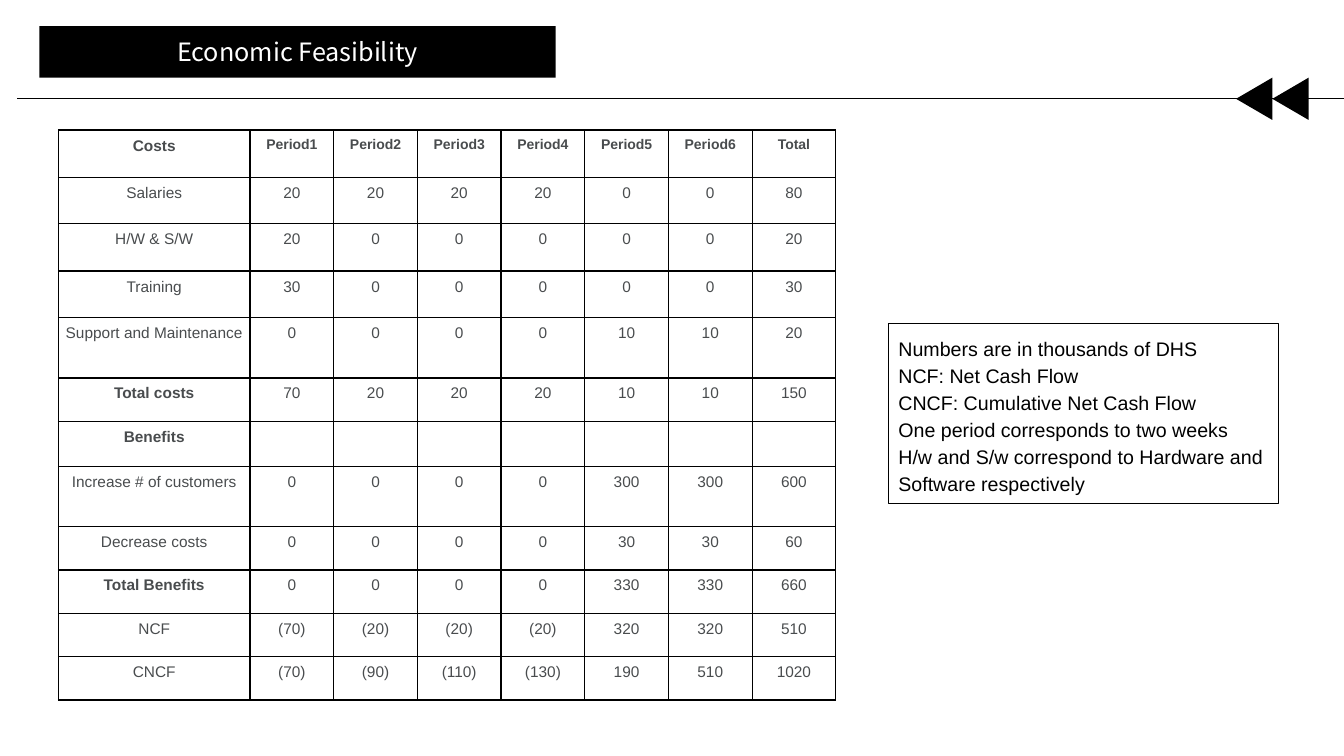
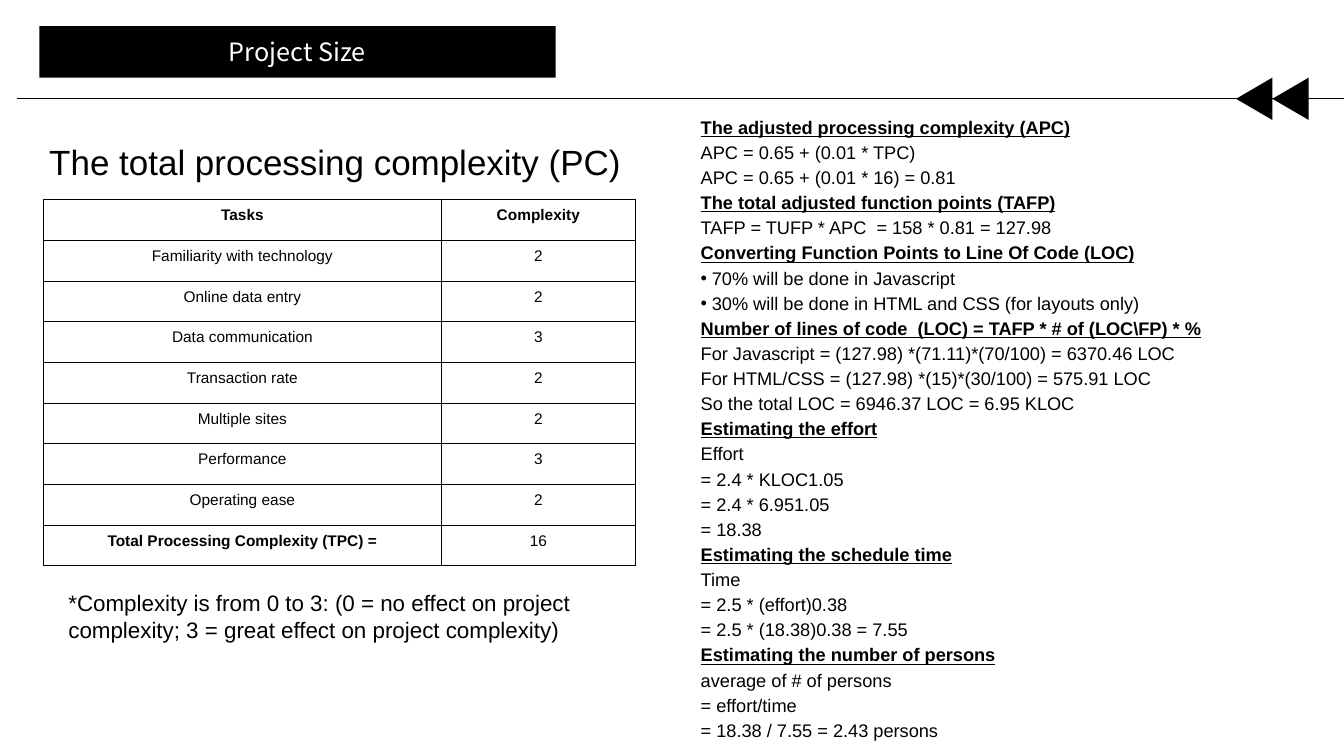
from lxml.etree import SubElement
from pptx import Presentation
from pptx.dml.color import RGBColor
from pptx.enum.shapes import MSO_CONNECTOR as CONNECTOR, MSO_SHAPE as SHAPE
from pptx.enum.text import MSO_ANCHOR as ANCHOR, MSO_AUTO_SIZE as AUTO_SIZE, PP_ALIGN as ALIGN
from pptx.oxml.ns import qn
from pptx.util import Pt

PX = 9144  # 100 px to the inch
COLORS = {name: RGBColor.from_string(value) for name, value in
          {"ink": "000000", "paper": "FFFFFF", "gray": "494C4E"}.items()}
TITLE_FONT, BODY_FONT = "Noto Sans CJK SC", "Arial"
CELL_MARGIN, BULLET_INDENT = 7, 11


def write_text(frame, text, *, size, color="ink", font=BODY_FONT, bold=False,
               underline=False, align=ALIGN.LEFT, spacing=1.0, bullet=False):
    """Fill the empty first paragraph, or append a new one."""
    paragraph = frame.paragraphs[0]
    if paragraph.runs:
        paragraph = frame.add_paragraph()
    paragraph.alignment = align
    paragraph.line_spacing = spacing
    paragraph.space_before = paragraph.space_after = Pt(0)
    run = paragraph.add_run()
    run.text = text
    run.font.name, run.font.size = font, Pt(size)
    run.font.bold, run.font.underline = bold, underline
    run.font.color.rgb = COLORS[color]
    properties = paragraph._p.get_or_add_pPr()
    indent = BULLET_INDENT * PX if bullet else 0
    properties.set("marL", str(indent))
    properties.set("indent", str(-indent))
    if bullet:
        SubElement(properties, qn("a:buFont"), typeface=BODY_FONT)
        SubElement(properties, qn("a:buChar"), char="•")
    else:
        SubElement(properties, qn("a:buNone"))


def place(shape, left, top, width, height, anchor=ANCHOR.TOP, inset=10):
    """Set the position and text frame of a shape, and return the frame."""
    shape.left, shape.top = left * PX, top * PX
    shape.width, shape.height = width * PX, height * PX
    frame = shape.text_frame
    frame.word_wrap, frame.auto_size = True, AUTO_SIZE.NONE
    frame.vertical_anchor = anchor
    frame.margin_left = frame.margin_right = 10 * PX
    frame.margin_top = frame.margin_bottom = inset * PX
    return frame


presentation = Presentation()
presentation.slide_width, presentation.slide_height = 1333 * PX, 750 * PX
layout = presentation.slide_layouts.get_by_name("Title and Content")

# Shared header: title band, rule and two arrows
slides = []
for title in ("Economic Feasibility", "Project Size"):
    slide = presentation.slides.add_slide(layout)
    slides.append(slide)
    band = slide.shapes.title
    band.fill.solid()
    band.fill.fore_color.rgb = COLORS["ink"]
    frame = place(band, 39, 26, 512, 51, ANCHOR.MIDDLE, inset=5)
    write_text(frame, title, size=18, color="paper", font=TITLE_FONT, align=ALIGN.CENTER)

    rule = slide.shapes.add_connector(CONNECTOR.STRAIGHT, 17 * PX, 98 * PX, 1333 * PX, 98 * PX)
    rule.line.color.rgb, rule.line.width = COLORS["ink"], Pt(0.75)
    SubElement(rule._element.spPr, qn("a:effectLst"))

    for left in (1259, 1223):
        arrow = slide.shapes.add_shape(SHAPE.ISOSCELES_TRIANGLE,
                                       left * PX, 80 * PX, 42 * PX, 36 * PX)
        arrow.rotation = 270
        arrow.shadow.inherit = False
        arrow.fill.solid()
        arrow.fill.fore_color.rgb = COLORS["ink"]
        arrow.line.fill.background()

feasibility_slide, size_slide = slides

# Tables
cash_flow_rows = [
    ["Costs"] + [f"Period{number}" for number in range(1, 7)] + ["Total"],
    ["Salaries", "20", "20", "20", "20", "0", "0", "80"],
    ["H/W & S/W", "20", "0", "0", "0", "0", "0", "20"],
    ["Training", "30", "0", "0", "0", "0", "0", "30"],
    ["Support and Maintenance", "0", "0", "0", "0", "10", "10", "20"],
    ["Total costs", "70", "20", "20", "20", "10", "10", "150"],
    ["Benefits"] + [""] * 7,
    ["Increase # of customers", "0", "0", "0", "0", "300", "300", "600"],
    ["Decrease costs", "0", "0", "0", "0", "30", "30", "60"],
    ["Total Benefits", "0", "0", "0", "0", "330", "330", "660"],
    ["NCF", "(70)", "(20)", "(20)", "(20)", "320", "320", "510"],
    ["CNCF", "(70)", "(90)", "(110)", "(130)", "190", "510", "1020"],
]
complexity_rows = [
    ["Tasks", "Complexity"],
    ["Familiarity with technology", "2"],
    ["Online data entry", "2"],
    ["Data communication", "3"],
    ["Transaction rate", "2"],
    ["Multiple sites", "2"],
    ["Performance", "3"],
    ["Operating ease", "2"],
    ["Total Processing Complexity (TPC) =", "16"],
]
bold_labels = {"Total costs", "Benefits", "Total Benefits", "Total Processing Complexity (TPC) ="}
cash_flow_heights = [47, 46] * 2 + [60, 43, 43, 60] + [43] * 4
tables = [
    (feasibility_slide, 58, 129, [190] + [83] * 7, cash_flow_heights, cash_flow_rows, "gray", 10),
    (size_slide, 43, 198, [395, 192], [41, 40, 40] * 3, complexity_rows, "ink", 11),
]
for slide, left, top, widths, heights, rows, color, header_size in tables:
    table = slide.shapes.add_table(len(rows), len(widths), left * PX, top * PX,
                                   sum(widths) * PX, sum(heights) * PX).table
    table.first_row = table.horz_banding = False
    for column, width in zip(table.columns, widths):
        column.width = width * PX
    for row_index, (height, texts) in enumerate(zip(heights, rows)):
        table.rows[row_index].height = height * PX
        for column_index, text in enumerate(texts):
            cell = table.cell(row_index, column_index)
            cell.margin_left = cell.margin_right = CELL_MARGIN * PX
            cell.margin_top = cell.margin_bottom = CELL_MARGIN * PX
            properties = cell._tc.get_or_add_tcPr()
            for side in ("lnL", "lnR", "lnT", "lnB"):
                border = SubElement(properties, qn(f"a:{side}"), w=str(Pt(1)))
                fill = SubElement(border, qn("a:solidFill"))
                SubElement(fill, qn("a:srgbClr"), val=str(COLORS["ink"]))
            cell.fill.background()
            if text:
                is_header = row_index == 0
                write_text(cell.text_frame, text, color=color, align=ALIGN.CENTER,
                           size=header_size if is_header and column_index else 11,
                           bold=is_header or text in bold_labels)

# Economic Feasibility: notes
notes = feasibility_slide.placeholders[1]
notes.line.color.rgb, notes.line.width = COLORS["ink"], Pt(0.75)
frame = place(notes, 881, 321, 387, 179)
for text in (
    "Numbers are in thousands of DHS",
    "NCF: Net Cash Flow",
    "CNCF: Cumulative Net Cash Flow",
    "One period corresponds to two weeks",
    "H/w and S/w correspond to Hardware and Software respectively",
):
    write_text(frame, text, size=14, spacing=1.15)

# Project Size: table heading, footnote and calculations
heading = size_slide.shapes.add_textbox(0, 0, 0, 0)
frame = place(heading, 39, 128, 627, 52, inset=5)
write_text(frame, "The total processing complexity (PC)", size=25, spacing=1.15)

footnote = size_slide.shapes.add_textbox(0, 0, 0, 0)
frame = place(footnote, 58, 531, 608, 161, ANCHOR.MIDDLE)
write_text(frame, "*Complexity is from 0 to 3: (0 = no effect on project complexity; "
                  "3 = great effect on project complexity)", size=16)

calculations = [
    ("The adjusted processing complexity (APC)",
     ["APC = 0.65 + (0.01 * TPC)", "APC = 0.65 + (0.01 * 16) = 0.81"]),
    ("The total adjusted function points (TAFP)",
     ["TAFP = TUFP * APC  = 158 * 0.81 = 127.98"]),
    ("Converting Function Points to Line Of Code (LOC)",
     ["• 70% will be done in Javascript",
      "• 30% will be done in HTML and CSS (for layouts only)"]),
    ("Number of lines of code  (LOC) = TAFP * # of (LOC\\FP) * %",
     ["For Javascript = (127.98) *(71.11)*(70/100) = 6370.46 LOC",
      "For HTML/CSS = (127.98) *(15)*(30/100) = 575.91 LOC",
      "So the total LOC = 6946.37 LOC = 6.95 KLOC"]),
    ("Estimating the effort",
     ["Effort", "= 2.4 * KLOC1.05", "= 2.4 * 6.951.05", "= 18.38"]),
    ("Estimating the schedule time",
     ["Time", "= 2.5 * (effort)0.38", "= 2.5 * (18.38)0.38 = 7.55"]),
    ("Estimating the number of persons",
     ["average of # of persons", "= effort/time", "= 18.38 / 7.55 = 2.43 persons"]),
]
frame = place(size_slide.placeholders[1], 685, 102, 640, 645)
for subject, steps in calculations:
    write_text(frame, subject, size=13, bold=True, underline=True, spacing=1.15)
    for step in steps:
        write_text(frame, step.removeprefix("• "), size=13, spacing=1.15,
                   bullet=step.startswith("• "))

presentation.save("out.pptx")
